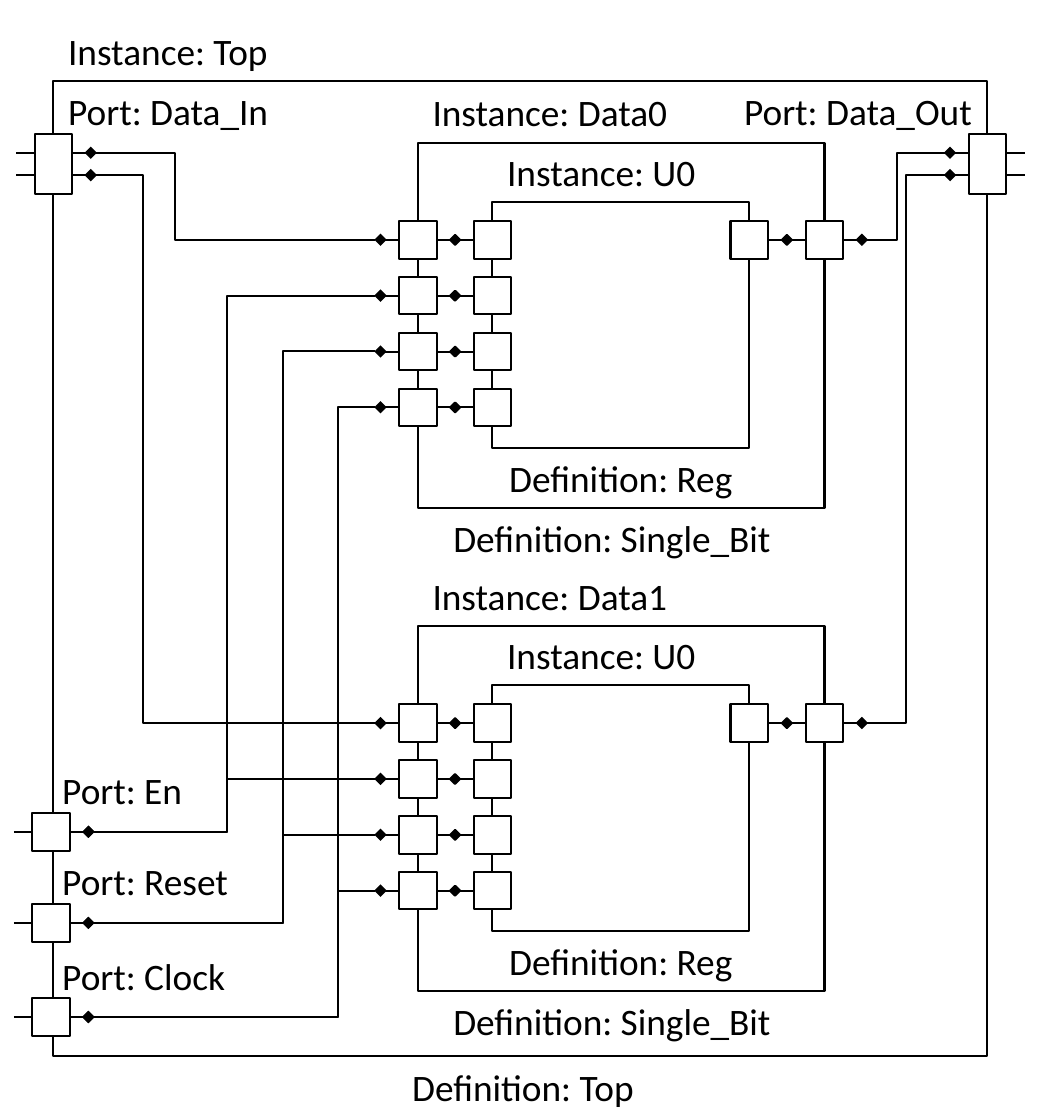
from lxml.etree import SubElement
from pptx import Presentation
from pptx.dml.color import RGBColor
from pptx.enum.shapes import MSO_CONNECTOR as LINK, MSO_SHAPE as SHAPE
from pptx.enum.text import MSO_AUTO_SIZE as AUTO, PP_ALIGN as AL
from pptx.oxml.ns import qn
from pptx.util import Cm, Pt

BLACK = RGBColor(0, 0, 0)
WHITE = RGBColor(255, 255, 255)

PORT, STUB, DOT = 0.64, 1.27, 0.12
LABEL_H = 1.02
TOP_L, TOP_R, INPUT_X = 0.91, 16.8, 0.87
BUS_Y, BUS_H, BIT_Y = 2.79, 1.02, (2.6, 2.98)
OUTER_L, OUTER_R, INNER_L, INNER_R = 7.11, 14.03, 8.38, 12.75
ROW_Y, ROW_STEP, CELL_STEP = 4.08, 0.95, 8.22


class Diagram:
    """Draws the elements of a circuit diagram in one style."""

    FRAME = {"word_wrap": False, "auto_size": AUTO.SHAPE_TO_FIT_TEXT}
    FONT = {"name": "Calibri", "size": Pt(18)}

    def __init__(self, s):
        self.shapes = s.shapes

    def box(self, x, y, w, h, fill=WHITE):
        sp = self.shapes.add_shape(SHAPE.RECTANGLE, Cm(x), Cm(y), Cm(w), Cm(h))
        sp.shadow.inherit = False
        sp.fill.solid()
        sp.fill.fore_color.rgb = fill
        sp.line.color.rgb = BLACK
        sp.line.width = Pt(1)
        return sp

    def port(self, x, y, h=PORT):
        self.box(x - PORT / 2, y - h / 2, PORT, h)

    def dot(self, x, y):
        self.box(x - DOT / 2, y - DOT / 2, DOT, DOT, BLACK).rotation = 315

    def link(self, kind, x1, y1, x2, y2):
        cx = self.shapes.add_connector(kind, Cm(x1), Cm(y1), Cm(x2), Cm(y2))
        cx.line.color.rgb = BLACK
        cx.line.width = Pt(1)
        SubElement(cx._element.spPr, qn("a:effectLst"))
        return cx

    def stub(self, x, y):
        self.link(LINK.STRAIGHT, x - STUB / 2, y, x + STUB / 2, y)

    def wire(self, x1, y1, x2, y2, bend):
        cx = self.link(LINK.ELBOW, x1, y1, x2, y2)
        ratio = round((bend - x1) / (x2 - x1) * 100000)
        guides = cx._element.spPr.find(qn("a:prstGeom")).find(qn("a:avLst"))
        SubElement(guides, qn("a:gd"), name="adj1", fmla=f"val {ratio}")
        ln = cx.line._get_or_add_ln()
        for end in ("a:headEnd", "a:tailEnd"):
            SubElement(ln, qn(end), type="diamond")

    def label(self, text, x, y, w, align=AL.LEFT):
        sp = self.shapes.add_textbox(Cm(x), Cm(y), Cm(w), Cm(LABEL_H))
        tf = sp.text_frame
        for key, value in self.FRAME.items():
            setattr(tf, key, value)
        p = tf.paragraphs[0]
        p.alignment = align
        r = p.add_run()
        r.text = text
        for key, value in self.FONT.items():
            setattr(r.font, key, value)
        r.font.color.rgb = BLACK

    def cell(self, name, dy):
        """Draws a one-bit instance with its nested register."""
        rows = [ROW_Y + dy + i * ROW_STEP for i in range(4)]
        self.box(OUTER_L, 2.43 + dy, OUTER_R - OUTER_L, 6.21)
        self.label(f"Instance: {name}", OUTER_L, 1.4 + dy, 4.55)
        self.label("Definition: Single_Bit", 7.42, 8.64 + dy, 5.99, AL.CENTER)
        self.label("Instance: U0", INNER_L, 2.41 + dy, 3.76)
        self.label("Definition: Reg", INNER_L, 7.62 + dy, 4.37, AL.CENTER)
        left = [(x, y) for y in rows for x in (OUTER_L, INNER_L)]
        ports = left + [(INNER_R, rows[0]), (OUTER_R, rows[0])]
        for x, y in ports:
            self.stub(x, y)
        self.box(INNER_L, 3.44 + dy, INNER_R - INNER_L, 4.18)
        for x, y in ports:
            self.port(x, y)
        for y in rows:
            self.dot((OUTER_L + INNER_L) / 2, y)
        self.dot((INNER_R + OUTER_R) / 2, rows[0])
        return rows


prs = Presentation()
prs.slide_width, prs.slide_height = Cm(17.78), Cm(19.05)
d = Diagram(prs.slides.add_slide(prs.slide_layouts[6]))

d.box(TOP_L, 1.38, TOP_R - TOP_L, 16.59)
d.label("Instance: Top", TOP_L, 0.36, 3.96)
d.label("Definition: Top", 6.65, 17.98, 4.5, AL.CENTER)
d.label("Port: Data_In", TOP_L, 1.37, 3.96)
d.label("Port: Data_Out", 12.37, 1.37, 4.42, AL.RIGHT)
for x in (TOP_L, TOP_R):
    for y in BIT_Y:
        d.stub(x, y)
    d.port(x, BUS_Y, BUS_H)

inputs = [("En", 14.15, 2.57, 3.86), ("Reset", 15.7, 3.35, 4.81),
          ("Clock", 17.3, 3.3, 5.75)]
for name, y, w, bend in inputs:
    d.stub(INPUT_X, y)
    d.label(f"Port: {name}", 0.81, y - 1.22, w)
    d.port(INPUT_X, y)

half = STUB / 2
bends = [(2.98, 15.26), (2.43, 15.41)]
for i, (bit_y, (bend_in, bend_out)) in enumerate(zip(BIT_Y, bends)):
    data_y, *control_ys = d.cell(f"Data{i}", i * CELL_STEP)
    d.wire(TOP_L + half, bit_y, OUTER_L - half, data_y, bend_in)
    d.wire(OUTER_R + half, data_y, TOP_R - half, bit_y, bend_out)
    for (name, y, w, bend), row_y in zip(inputs, control_ys):
        d.wire(INPUT_X + half, y, OUTER_L - half, row_y, bend)

prs.save("out.pptx")
